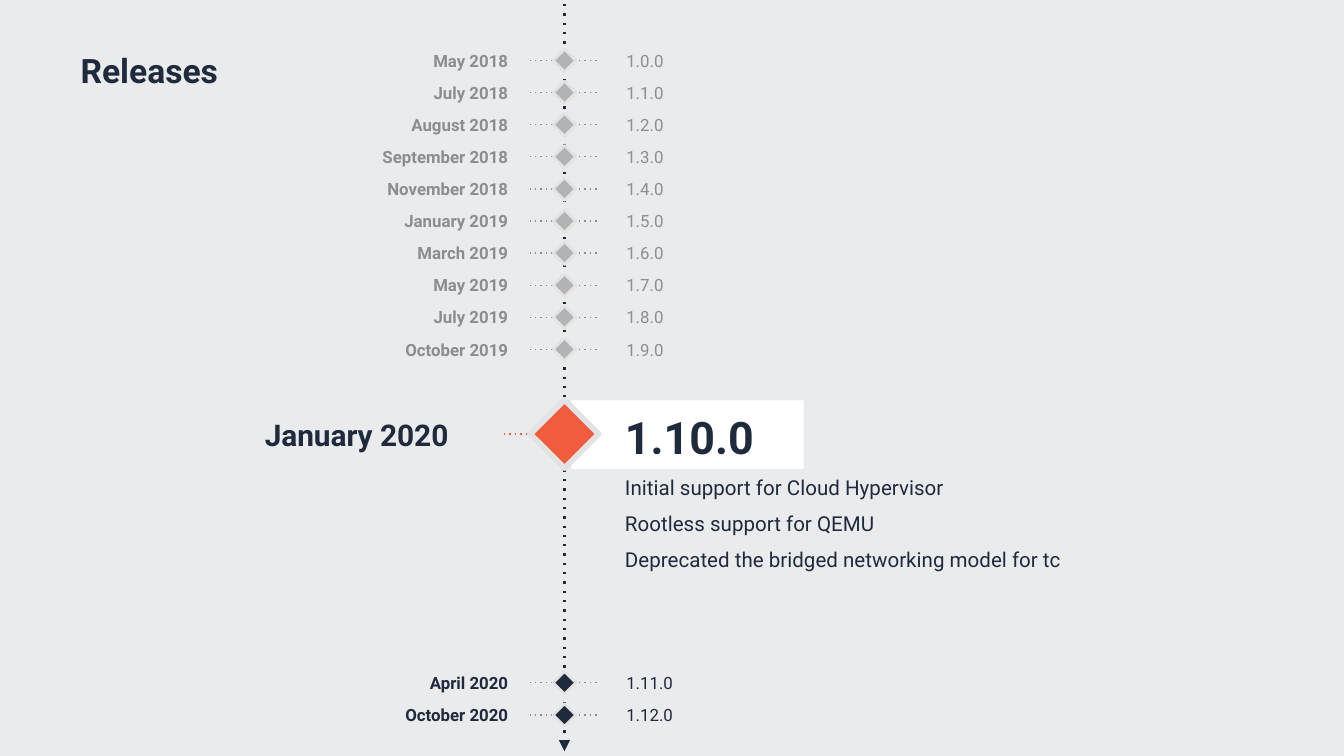
from lxml import etree
from pptx import Presentation
from pptx.dml.color import RGBColor
from pptx.enum.shapes import MSO_CONNECTOR, MSO_SHAPE
from pptx.enum.text import MSO_ANCHOR, MSO_AUTO_SIZE, PP_ALIGN
from pptx.oxml.ns import qn
from pptx.util import Inches, Pt

LEFT, RIGHT = PP_ALIGN.LEFT, PP_ALIGN.RIGHT
TOP, MIDDLE = MSO_ANCHOR.TOP, MSO_ANCHOR.MIDDLE
RECTANGLE, STRAIGHT = MSO_SHAPE.RECTANGLE, MSO_CONNECTOR.STRAIGHT

AXIS_X = 4.2
ROW_STEP = 0.24
ROW_HEIGHT = 0.25
LABEL_INSETS = (0.04, 0.05, 0.04, 0.05)
WIDE_INSETS = (0.1, 0.1, 0.1, 0.1)

PAST = ["May 2018", "July 2018", "August 2018", "September 2018", "November 2018",
        "January 2019", "March 2019", "May 2019", "July 2019", "October 2019"]
UPCOMING = ["April 2020", "October 2020"]
PAST_TOP, PAST_BOTTOM = 0.45, 2.6
UPCOMING_TOP = 5.08
FEATURES = ["Initial support for Cloud Hypervisor", "Rootless support for QEMU",
            "Deprecated the bridged networking model for tc"]


def rgb(code):
    return RGBColor.from_string(code)


def write(paragraph, text, size=9, color="1F2A3D", bold=False, align=LEFT, before=0):
    properties = paragraph._p.get_or_add_pPr()
    properties.set("marL", "0")
    properties.set("indent", "0")
    etree.SubElement(properties, qn("a:buNone"))
    paragraph.alignment = align
    paragraph.space_before = Pt(before)
    run = paragraph.add_run()
    run.text = text
    run.font.name = "Roboto"
    run.font.size = Pt(size)
    run.font.bold = bold
    run.font.color.rgb = rgb(color)


class ReleaseSlide:
    ink = "1F2A3D"
    muted = "8D8D8D"
    muted_marker = "B3B3B3"
    accent = "F15B3E"
    outline = "E3E3E3"

    def __init__(self, presentation):
        self.slide = presentation.slides.add_slide(presentation.slide_layouts[1])
        self.shapes = self.slide.shapes
        background = self.slide.background.fill
        background.solid()
        background.fore_color.rgb = rgb("EAEBED")

    def frame(self, holder, insets, anchor=TOP):
        """Set the text frame of a box or placeholder and return it."""
        frame = holder.text_frame
        frame.word_wrap = True
        frame.auto_size = MSO_AUTO_SIZE.NONE
        frame.vertical_anchor = anchor
        (frame.margin_left, frame.margin_top,
         frame.margin_right, frame.margin_bottom) = map(Inches, insets)
        return frame

    def placeholder(self, index, x, y, width, height, anchor=TOP):
        """Move a placeholder in front of everything drawn so far."""
        holder = self.slide.placeholders[index]
        holder.left, holder.top = Inches(x), Inches(y)
        holder.width, holder.height = Inches(width), Inches(height)
        holder.element.getparent().append(holder.element)
        return self.frame(holder, WIDE_INSETS, anchor)

    def label(self, text, x, y, width, height=ROW_HEIGHT, insets=LABEL_INSETS,
              anchor=TOP, **style):
        box = self.shapes.add_textbox(Inches(x), Inches(y), Inches(width), Inches(height))
        write(self.frame(box, insets, anchor).paragraphs[0], text, **style)

    def dotted_line(self, start, end, color, width=0.75, arrow=False, shapes=None):
        line = (shapes or self.shapes).add_connector(
            STRAIGHT, *map(Inches, (*start, *end)))
        line.line.color.rgb = rgb(color)
        line.line.width = Pt(width)
        properties = line.element.spPr
        stroke = properties.find(qn("a:ln"))
        etree.SubElement(stroke, qn("a:prstDash"), val="dot")
        if arrow:
            etree.SubElement(stroke, qn("a:tailEnd"), type="triangle")
        etree.SubElement(properties, qn("a:effectLst"))

    def rectangle(self, x, y, width, height, fill, shapes=None):
        shape = (shapes or self.shapes).add_shape(
            RECTANGLE, *map(Inches, (x, y, width, height)))
        shape.shadow.inherit = False
        shape.fill.solid()
        shape.fill.fore_color.rgb = rgb(fill)
        shape.line.fill.background()
        return shape

    def diamond(self, y, side, fill, border, shapes=None):
        shape = self.rectangle(AXIS_X - side / 2, y - side / 2, side, side, fill, shapes)
        shape.rotation = 45
        shape.line.color.rgb = rgb(self.outline)
        shape.line.width = Pt(border)

    def release(self, y, date, version, color, marker):
        top = y - ROW_HEIGHT / 2
        self.label(version, 4.62, top, 0.5, color=color)
        self.label(date, 2.8, top, 1.02, color=color, bold=True, align=RIGHT)
        group = self.shapes.add_group_shape().shapes
        self.dotted_line((4.44, y), (3.94, y), self.muted, shapes=group)
        self.diamond(y, 0.12, marker, 1.5, group)

    def current_release(self, y):
        self.dotted_line((4.25, y), (3.75, y), self.accent)
        self.rectangle(4.25, 2.98, 1.73, 0.51, "FFFFFF")
        notes = self.placeholder(1, 4.55, 2.95, 4.51, 1.87)
        write(notes.paragraphs[0], "1.10.0", size=24, bold=True)
        for feature in FEATURES:
            write(notes.add_paragraph(), feature, size=11, before=6)
        self.label("January 2020", 1.77, 2.95, 2.08, 0.57, (0.2, 0.1, 0.1, 0.1),
                   MIDDLE, size=16, bold=True)
        self.diamond(y, 0.36, self.accent, 3)


def main():
    presentation = Presentation()
    presentation.slide_width = Inches(10)
    presentation.slide_height = presentation.slide_width * 9 // 16
    page = ReleaseSlide(presentation)

    title = page.placeholder(0, 0.5, 0.1, 2.24, 0.84, MIDDLE)
    write(title.paragraphs[0], "Releases", size=18, bold=True)
    page.dotted_line((AXIS_X, 0.03), (AXIS_X, 5.59), page.ink, 1.25, arrow=True)

    past_step = (PAST_BOTTOM - PAST_TOP) / (len(PAST) - 1)
    for minor, date in enumerate(PAST):
        page.release(PAST_TOP + minor * past_step, date, f"1.{minor}.0",
                     page.muted, page.muted_marker)
    for row, date in enumerate(UPCOMING):
        page.release(UPCOMING_TOP + row * ROW_STEP, date, f"1.{len(PAST) + 1 + row}.0",
                     page.ink, page.ink)
    page.current_release(3.23)

    presentation.save("out.pptx")


if __name__ == "__main__":
    main()
